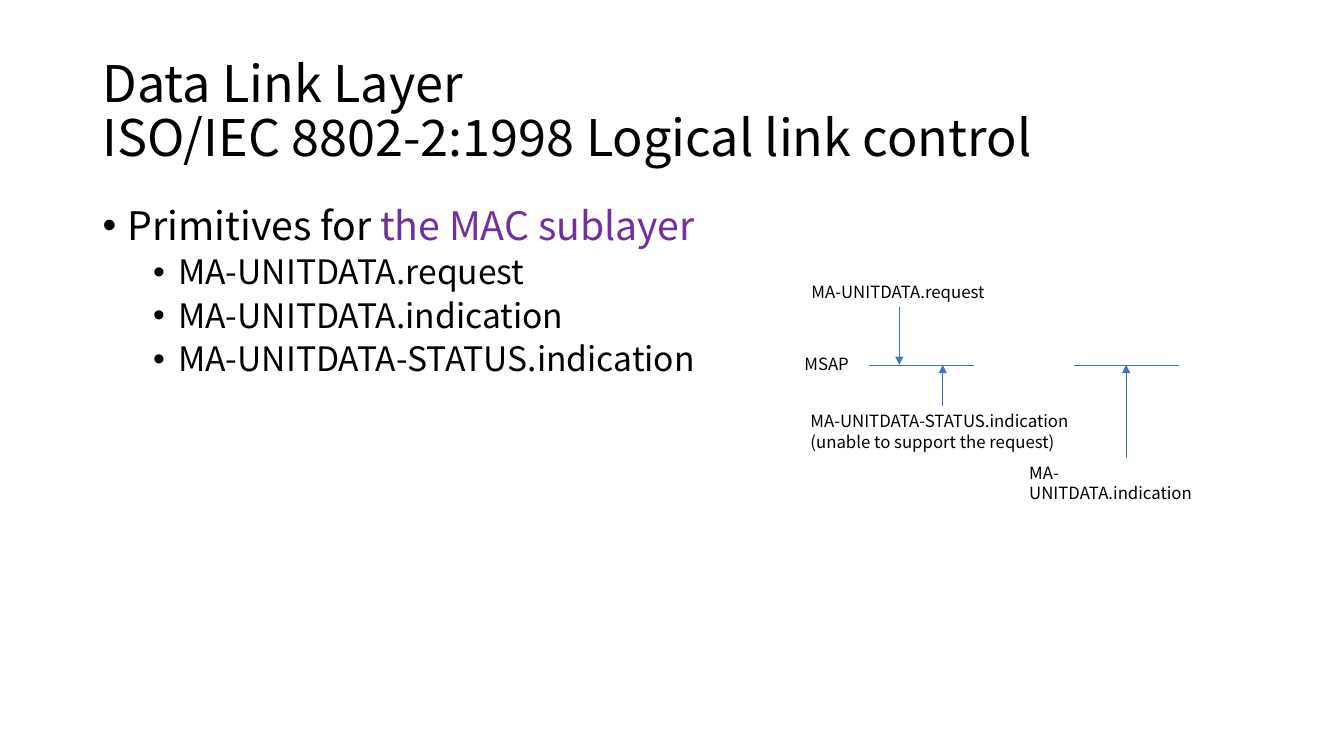
import pptx
import pptx.util
import pptx.dml.color
import pptx.enum.shapes
import pptx.enum.text
import pptx.oxml
import pptx.oxml.ns
import lxml.etree

Inches = pptx.util.Inches
Pt = pptx.util.Pt
FONT = "Noto Sans CJK KR"
BLACK, PURPLE, BLUE = "000000", "7030A0", "4472C4"


def rgb(color):
    return pptx.dml.color.RGBColor.from_string(color)


def add_xml(parent, tag, **attributes):
    return lxml.etree.SubElement(parent, pptx.oxml.ns.qn(tag), **attributes)


def format_runs(p, size, color=BLACK):
    for r in p.runs:
        r.font.name = FONT
        r.font.size = Pt(size)
        r.font.color.rgb = rgb(color)


def add_text(s, x, y, w, h, text, size, wrap=True):
    tf = s.shapes.add_textbox(Inches(x), Inches(y), Inches(w), Inches(h)).text_frame
    tf.word_wrap = wrap
    tf.text = text
    for p in tf.paragraphs:
        format_runs(p, size)
    return tf


def add_line(s, x1, y1, x2, y2, arrow=False):
    line = s.shapes.add_connector(
        pptx.enum.shapes.MSO_CONNECTOR.STRAIGHT,
        Inches(x1), Inches(y1), Inches(x2), Inches(y2))
    line.line.color.rgb = rgb(BLUE)
    line.line.width = Pt(0.5)
    if arrow:
        add_xml(line.line._get_or_add_ln(), "a:tailEnd", type="triangle")
    add_xml(line._element.spPr, "a:effectLst")


def add_title(s, x, y, w, h):
    text = "Data Link Layer\vISO/IEC 8802-2:1998 Logical link control"
    tf = add_text(s, x, y, w, h, text, 36)
    tf.vertical_anchor = pptx.enum.text.MSO_ANCHOR.MIDDLE
    tf.paragraphs[0].line_spacing = 0.9


def add_primitives(s, x, y, w, h):
    items = ["Primitives for ", "MA-UNITDATA.request", "MA-UNITDATA.indication",
             "MA-UNITDATA-STATUS.indication"]
    tf = add_text(s, x, y, w, h, "\n".join(items), 24)
    for i, p in enumerate(tf.paragraphs):
        p.level = 1 if i else 0
        p.line_spacing = 0.9
        p.space_before = Pt(5 if i else 10)
        pPr = p._p.get_or_add_pPr()
        pPr.set("marL", str(Inches(0.75 if i else 0.25)))
        pPr.set("indent", str(Inches(-0.25)))
        add_xml(pPr, "a:buFont", typeface="Arial")
        add_xml(pPr, "a:buChar", char="•")

    # Heading with its coloured ending
    heading = tf.paragraphs[0]
    heading.add_run().text = "the MAC sublayer"
    format_runs(heading, 28)
    heading.runs[1].font.color.rgb = rgb(PURPLE)


def add_sequence(s, x, y):
    # Service access point lines
    sap_y = y + 0.87
    for left in (0.74, 2.77):
        add_line(s, x + left, sap_y, x + left + 1.04, sap_y)

    # Primitives arriving at the access point
    for dx, start in ((1.04, 0.3), (1.47, 1.28), (3.29, 1.79)):
        add_line(s, x + dx, y + start, x + dx, sap_y, arrow=True)

    # Labels
    status = "MA-UNITDATA-STATUS.indication\n(unable to support the request)"
    for dx, dy, w, h, text, wrap in (
            (0, 0.71, 0.65, 0.3, "MSAP", False),
            (0.07, 0, 1.92, 0.3, "MA-UNITDATA.request", False),
            (2.23, 1.79, 2, 0.5, "MA-UNITDATA.indication", True),
            (0.06, 1.28, 2.83, 0.5, status, False)):
        add_text(s, x + dx, y + dy, w, h, text, 12, wrap)


def main():
    prs = pptx.Presentation()
    prs.slide_width, prs.slide_height = Inches(13.33), Inches(7.5)
    s = prs.slides.add_slide(prs.slide_layouts[6])
    add_title(s, 0.92, 0.4, 11.5, 1.45)
    add_primitives(s, 0.92, 2, 11.5, 4.76)
    add_sequence(s, 7.88, 2.75)
    prs.save("out.pptx")


if __name__ == "__main__":
    main()
